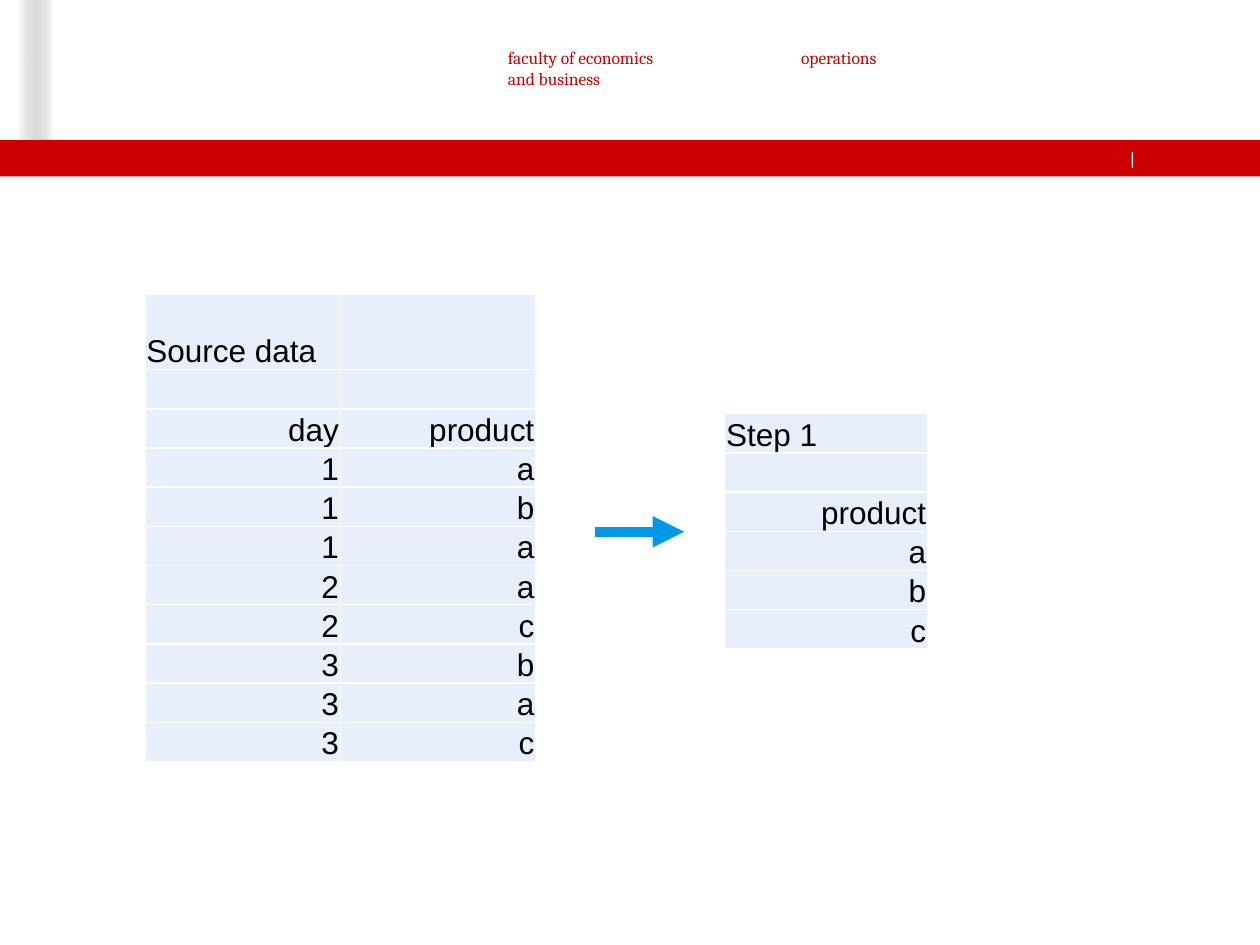
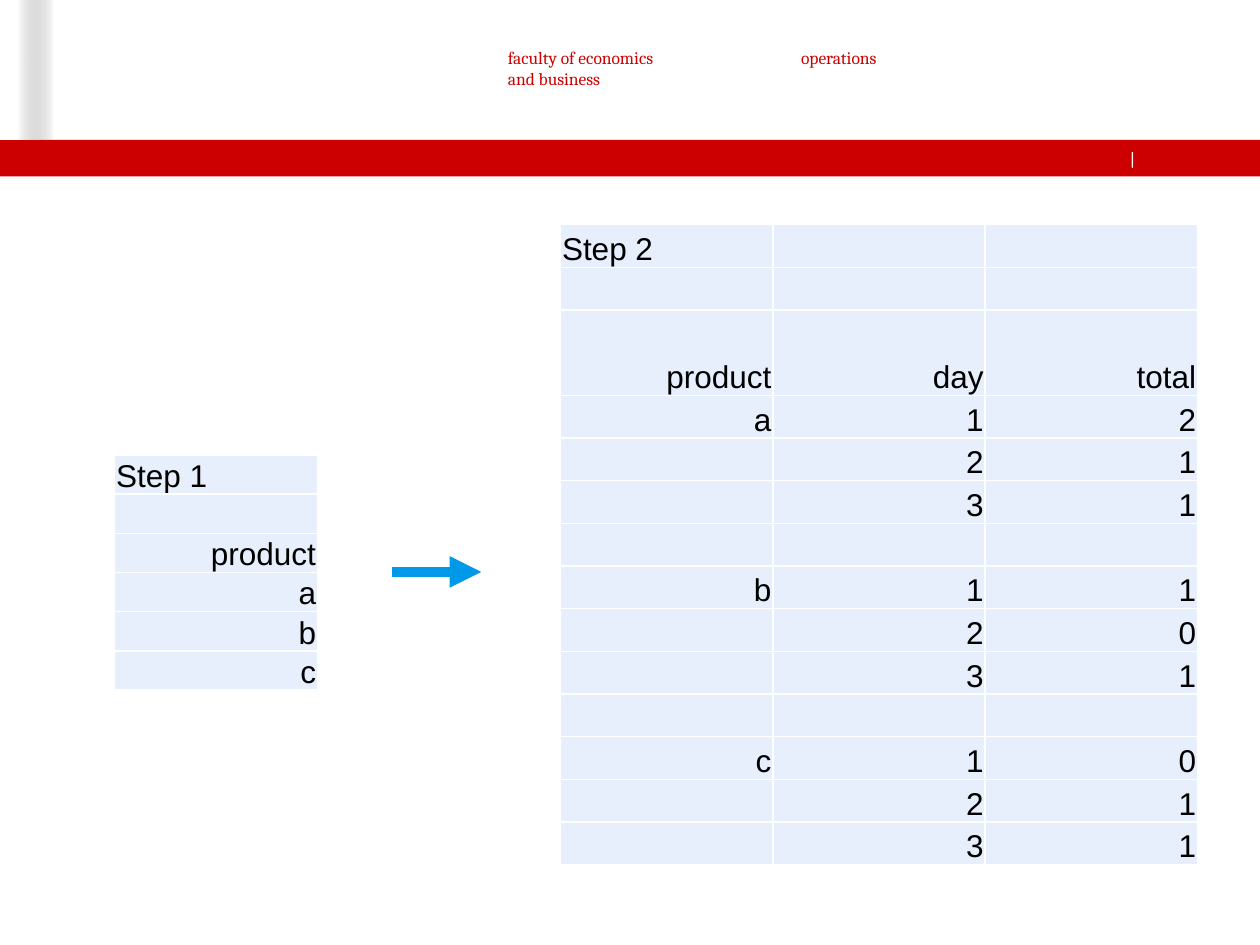
from lxml import etree
from pptx import Presentation
from pptx.dml.color import RGBColor
from pptx.enum.shapes import MSO_CONNECTOR, MSO_SHAPE
from pptx.enum.text import MSO_ANCHOR, PP_ALIGN
from pptx.oxml.ns import qn
from pptx.util import Cm, Pt

RECT = MSO_SHAPE.RECTANGLE
LINE = MSO_CONNECTOR.STRAIGHT
BOTTOM = MSO_ANCHOR.BOTTOM
LEFT, RIGHT = PP_ALIGN.LEFT, PP_ALIGN.RIGHT

rgb = RGBColor.from_string
RED, WHITE, GREY, BLUE, PALE, BLACK = "CC0000", "FFFFFF", "757575", "0099EA", "E7EFFC", "000000"

HEADER = dict(name="Cambria", size=Pt(10), color=RED)
DIVIDER = dict(name="DejaVu Sans", size=Pt(9), color=WHITE)
CELL = dict(name="Arial", size=Pt(18), color=BLACK)
NO_MARGINS = dict(margin_left=0, margin_top=0, margin_right=0, margin_bottom=0)
CELL_MARGINS = dict(NO_MARGINS, margin_left=Cm(0.03), margin_right=Cm(0.03))


def write(p, text, fmt):
    r = p.add_run()
    r.text = text
    for key, value in fmt.items():
        if key == "color":
            r.font.color.rgb = rgb(value)
        else:
            setattr(r.font, key, value)


def add_grid(s, x, y, col_w, row_h, rows, tall=None):
    """Add a pale table; tall maps a row number to its own height."""
    heights = [(tall or {}).get(i, row_h) for i in range(len(rows))]
    n_cols = len(rows[0])
    table = s.shapes.add_table(len(rows), n_cols, Cm(x), Cm(y),
                               Cm(col_w * n_cols), Cm(sum(heights))).table
    table.first_row = table.horz_banding = False
    for col in table.columns:
        col.width = Cm(col_w)
    for i, values in enumerate(rows):
        table.rows[i].height = Cm(heights[i])
        for j, value in enumerate(values):
            cell = table.cell(i, j)
            for key, margin in CELL_MARGINS.items():
                setattr(cell, key, margin)
            cell.vertical_anchor = BOTTOM
            # White borders come before the fill in the cell properties
            tcPr = cell._tc.get_or_add_tcPr()
            for side in ("lnL", "lnR", "lnT", "lnB"):
                ln = etree.SubElement(tcPr, qn("a:" + side), w=str(Pt(1)))
                fill = etree.SubElement(ln, qn("a:solidFill"))
                etree.SubElement(fill, qn("a:srgbClr"), val=WHITE)
            cell.fill.solid()
            cell.fill.fore_color.rgb = rgb(PALE)
            if value:
                p = cell.text_frame.paragraphs[0]
                p.alignment = LEFT if i == 0 else RIGHT
                write(p, value, CELL)


prs = Presentation()
prs.slide_width, prs.slide_height = Cm(25.4), Cm(19.05)

# Table contents
source = [["Source data", ""], ["", ""], ["day", "product"]]
source += [list(pair) for pair in ("1a", "1b", "1a", "2a", "2c", "3b", "3a", "3c")]

step1 = [["Step 1"], [""], ["product"], ["a"], ["b"], ["c"]]

step2 = [["Step 2", "", ""], ["", "", ""], ["product", "day", "total"]]
for product, totals in (("a", "211"), ("b", "101"), ("c", "011")):
    if product != "a":
        step2.append(["", "", ""])
    for day, total in enumerate(totals, 1):
        step2.append([product if day == 1 else "", str(day), total])

# Each slide: tables and the left end of the arrow
slides = [
    ([dict(x=2.92, y=5.94, col_w=3.94, row_h=0.79, rows=source, tall={0: 1.51}),
      dict(x=14.61, y=8.34, col_w=4.09, row_h=0.79, rows=step1)],
     (11.99, 10.72)),
    ([dict(x=11.3, y=4.53, col_w=4.28, row_h=0.86, rows=step2, tall={2: 1.72}),
      dict(x=2.31, y=9.17, col_w=4.09, row_h=0.79, rows=step1)],
     (7.9, 11.53)),
]

for tables, (arrow_x, arrow_y) in slides:
    s = prs.slides.add_slide(prs.slide_layouts[6])

    # Red band and the shaded strip at the top left
    for x, y, w, h, color in ((0, 2.82, 25.4, 0.74, RED),
                              (0.36, 0, 0.71, 2.82, None),
                              (0, 0, 0.36, 2.82, WHITE)):
        sp = s.shapes.add_shape(RECT, Cm(x), Cm(y), Cm(w), Cm(h))
        sp.shadow.inherit = False
        sp.line.fill.background()
        if color:
            sp.fill.solid()
            sp.fill.fore_color.rgb = rgb(color)
        else:
            sp.fill.gradient()
            sp.fill.gradient_angle = 0
            for stop, stop_color in zip(sp.fill.gradient_stops, (WHITE, GREY)):
                stop.color.rgb = rgb(stop_color)
            clear = sp._element.spPr.findall(".//" + qn("a:srgbClr"))[-1]
            etree.SubElement(clear, qn("a:alpha"), val="0")

    # Header texts
    for x, y, w, h, lines, fmt in (
            (22.78, 3, 0.15, 0.38, ["|"], DIVIDER),
            (10.24, 0.94, 3.2, 0.86, ["faculty of economics", "and business"], HEADER),
            (16.15, 0.94, 5, 1.17, ["operations"], HEADER)):
        tf = s.shapes.add_textbox(Cm(x), Cm(y), Cm(w), Cm(h)).text_frame
        tf.word_wrap = False
        for key, margin in NO_MARGINS.items():
            setattr(tf, key, margin)
        for i, line in enumerate(lines):
            write(tf.add_paragraph() if i else tf.paragraphs[0], line, fmt)

    # Tables
    for grid in tables:
        add_grid(s, **grid)

    # Arrow between the tables
    arrow = s.shapes.add_connector(LINE, Cm(arrow_x), Cm(arrow_y),
                                   Cm(arrow_x + 1.8), Cm(arrow_y))
    arrow.line.color.rgb = rgb(BLUE)
    arrow.line.width = Pt(6)
    etree.SubElement(arrow.line._get_or_add_ln(), qn("a:tailEnd"), type="triangle")
    etree.SubElement(arrow._element.spPr, qn("a:effectLst"))

prs.save("out.pptx")
